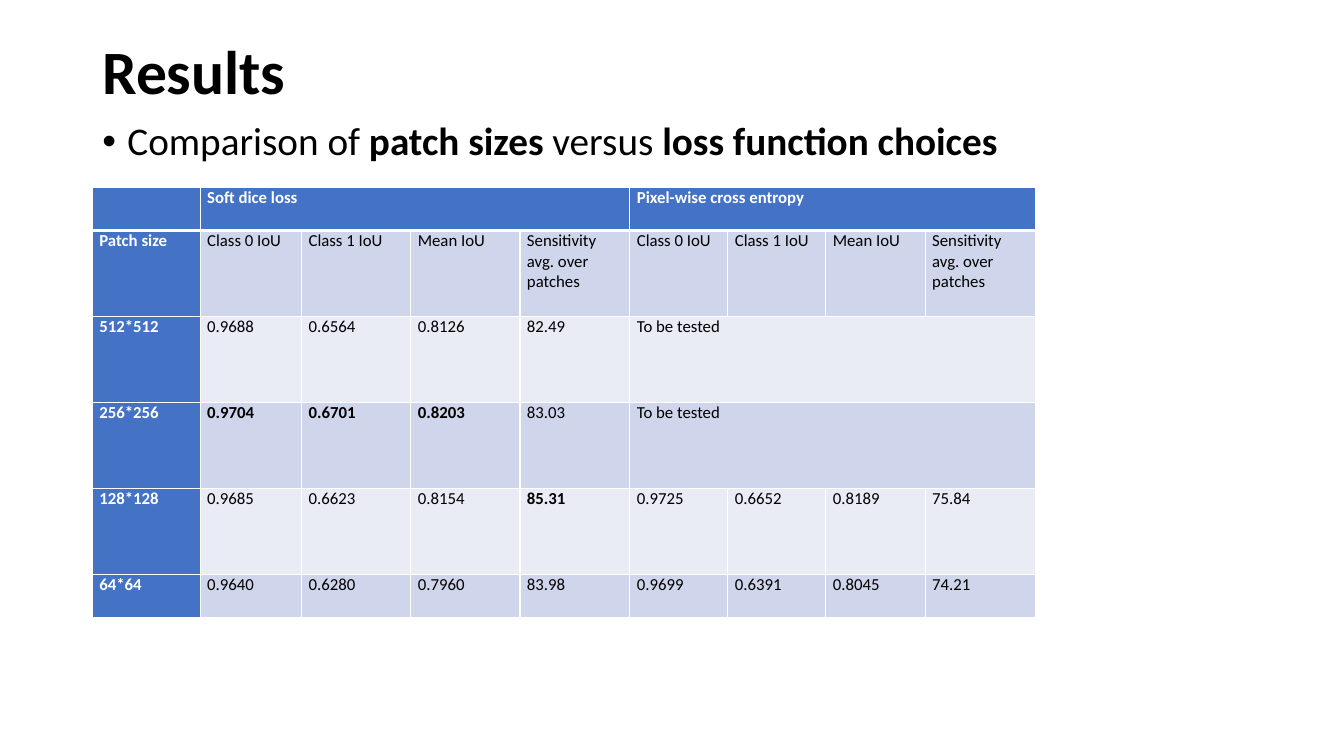
import pptx
import pptx.dml.color
import pptx.enum.text
import pptx.oxml
import pptx.oxml.ns
import pptx.util
from lxml import etree

Pt = pptx.util.Pt
RGBColor = pptx.dml.color.RGBColor

BLACK = RGBColor(0x00, 0x00, 0x00)
WHITE = RGBColor(0xFF, 0xFF, 0xFF)
HEADER_BLUE = RGBColor(0x44, 0x72, 0xC4)
BAND_DARK = RGBColor(0xCF, 0xD5, 0xEA)
BAND_LIGHT = RGBColor(0xE9, 0xEB, 0xF5)
FONT = "Calibri"

# Results; an asterisk pair marks the best values
MEASURES = ["Class 0 IoU", "Class 1 IoU", "Mean IoU", "Sensitivity avg. over patches"]
LOSSES = ["Soft dice loss", "Pixel-wise cross entropy"]
UNTESTED = ["To be tested", "", "", ""]
RESULTS = [
    ["", LOSSES[0], "", "", "", LOSSES[1], "", "", ""],
    ["Patch size"] + MEASURES * 2,
    ["512*512", "0.9688", "0.6564", "0.8126", "82.49"] + UNTESTED,
    ["256*256", "0.9704", "0.6701", "0.8203", "83.03"] + UNTESTED,
    ["128*128", "0.9685", "0.6623", "0.8154", "85.31", "0.9725", "0.6652", "0.8189", "75.84"],
    ["64*64", "0.9640", "0.6280", "0.7960", "83.98", "0.9699", "0.6391", "0.8045", "74.21"],
]
BEST_VALUES = {"0.9704", "0.6701", "0.8203", "85.31"}
MERGED_STARTS = [(0, 1), (0, 5), (2, 5), (3, 5)]
COLUMN_WIDTHS = [77, 72.5, 78, 78, 78.5, 70, 70, 71, 78.5]
ROW_HEIGHTS = [30.7, 61.4, 61.4, 61.4, 61.4, 30.7]


def format_run(run, size, color=BLACK, bold=False):
    run.font.name = FONT
    run.font.size = Pt(size)
    run.font.bold = bold
    run.font.color.rgb = color


def add_text_frame(slide, box):
    frame = slide.shapes.add_textbox(*(Pt(length) for length in box)).text_frame
    frame.word_wrap = True
    frame.paragraphs[0].line_spacing = 0.9
    return frame


def add_title(slide, box):
    frame = add_text_frame(slide, box)
    frame.vertical_anchor = pptx.enum.text.MSO_ANCHOR.MIDDLE
    heading = frame.paragraphs[0]
    heading.text = "Results"
    format_run(heading.runs[0], 44, bold=True)


def add_comparison_bullet(slide, box):
    bullet = add_text_frame(slide, box).paragraphs[0]
    bullet.space_before = Pt(10)
    phrases = [("Comparison of ", False), ("patch sizes ", True),
               ("versus ", False), ("loss function choices", True)]
    for phrase, bold in phrases:
        run = bullet.add_run()
        run.text = phrase
        format_run(run, 28, bold=bold)

    # Bullet with hanging indent
    properties = bullet._p.get_or_add_pPr()
    properties.set("marL", str(Pt(18)))
    properties.set("indent", str(-Pt(18)))
    etree.SubElement(properties, pptx.oxml.ns.qn("a:buFont")).set("typeface", "Arial")
    etree.SubElement(properties, pptx.oxml.ns.qn("a:buChar")).set("char", "•")


def set_borders(cell, widths):
    """Draw white borders; widths maps each side (L, R, T, B) to points."""
    properties = cell._tc.get_or_add_tcPr()
    for position, (side, width) in enumerate(widths.items()):
        border = pptx.oxml.parse_xml(
            f'<a:ln{side} {pptx.oxml.ns.nsdecls("a")} w="{Pt(width)}">'
            f'<a:solidFill><a:srgbClr val="{WHITE}"/></a:solidFill></a:ln{side}>')
        properties.insert(position, border)


def fill_cell(cell, row, column):
    is_header = row == 0 or column == 0
    value = RESULTS[row][column]
    cell.margin_left = cell.margin_right = Pt(5)
    cell.margin_top = cell.margin_bottom = 0
    cell.fill.solid()
    band = BAND_DARK if row % 2 else BAND_LIGHT
    cell.fill.fore_color.rgb = HEADER_BLUE if is_header else band
    set_borders(cell, {"L": 1, "R": 1, "T": 3 if row == 1 else 1, "B": 3 if row == 0 else 1})
    if value:
        cell.text_frame.text = value
        format_run(cell.text_frame.paragraphs[0].runs[0], 12,
                   WHITE if is_header else BLACK, is_header or value in BEST_VALUES)


def add_results_table(slide, left, top):
    table = slide.shapes.add_table(
        len(ROW_HEIGHTS), len(COLUMN_WIDTHS), Pt(left), Pt(top),
        Pt(sum(COLUMN_WIDTHS)), Pt(sum(ROW_HEIGHTS))).table
    table.first_col = True
    for column, width in zip(table.columns, COLUMN_WIDTHS):
        column.width = Pt(width)
    for row, height in zip(table.rows, ROW_HEIGHTS):
        row.height = Pt(height)
    for row in range(len(ROW_HEIGHTS)):
        for column in range(len(COLUMN_WIDTHS)):
            fill_cell(table.cell(row, column), row, column)

    # Each merged cell spans one loss function's four measures
    for row, column in MERGED_STARTS:
        table.cell(row, column).merge(table.cell(row, column + len(MEASURES) - 1))


def main():
    deck = pptx.Presentation()
    deck.slide_width, deck.slide_height = Pt(960), Pt(540)
    slide = deck.slides.add_slide(deck.slide_layouts[6])
    add_title(slide, (66, 0.7, 828, 104.4))
    add_comparison_bullet(slide, (66, 83.5, 828, 342.7))
    add_results_table(slide, 66, 134)
    deck.save("out.pptx")


if __name__ == "__main__":
    main()
